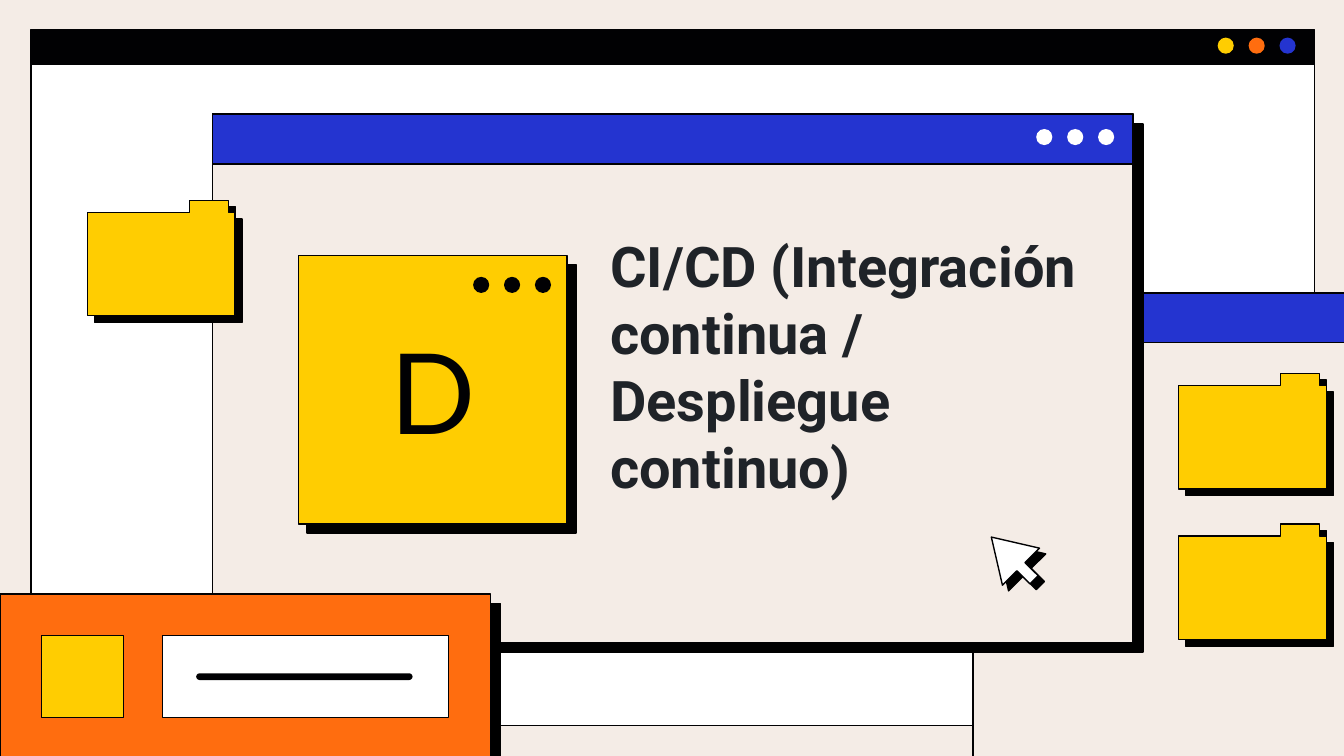
from lxml.etree import SubElement
from pptx import Presentation
from pptx.dml.color import RGBColor
from pptx.enum.shapes import MSO_SHAPE
from pptx.enum.text import MSO_ANCHOR, MSO_AUTO_SIZE, PP_ALIGN
from pptx.oxml.ns import qn
from pptx.util import Inches, Pt

TITLE = "CI/CD (Integración continua / Despliegue continuo)"
LETTER = "D"
BLACK, WHITE, CREAM = "010103", "FFFFFF", "F4ECE6"
BLUE, ORANGE, YELLOW = "2434D0", "FF6D0F", "FFCD01"
WINDOW_SHADOW, TILE_SHADOW, FOLDER_SHADOW, CURSOR_SHADOW = (7.5, 44), (6.8, 46), (5.2, 43), (4.5, 43)

PAGE_WIDTH, PAGE_HEIGHT = 10, 10 * 9 / 16
BROWSER = [((0.23, 0.48, 9.55, 4.92), WHITE), ((0.23, 0.22, 9.55, 0.26), BLACK)]
WINDOWS = [(7.24, 2.18, 5.8, 3.65), (1.58, 0.85, 6.85, 3.93)]
BAR_HEIGHT = 0.37
TITLE_BOX = (4.44, 2.12, 3.98, 1.7)
TILE = (2.22, 1.9, 2, 2)
CARD = (0, 4.42, 3.65, 1.23)
CARD_PARTS = [((0.31, 4.73, 0.61, 0.61), YELLOW), ((1.21, 4.73, 2.13, 0.61), WHITE)]
CARD_LINE = (1.46, 5.01, 1.61, 0.05)
CURSOR = (7.34, 3.93, 0.39, 0.45)
FOLDERS = [(8.77, 2.78), (0.65, 1.49), (8.77, 3.9)]
FOLDER_OUTLINE = [(0.76, 0), (0.76, 0.09), (0, 0.09), (0, 0.86), (1.1, 0.86), (1.1, 0.09), (1.05, 0.09), (1.05, 0)]
DOT, DOT_STEP = 0.12, 0.23


def color(hex_code):
    return RGBColor.from_string(hex_code)


def inches(values):
    return [Inches(value) for value in values]


def style(shape, fill, outlined=True, shadow=None):
    shape.fill.solid()
    shape.fill.fore_color.rgb = color(fill)
    if outlined:
        shape.line.color.rgb = color(BLACK)
        shape.line.width = Pt(0.75)
    else:
        shape.line.fill.background()
    shape.shadow.inherit = False
    if shadow:
        distance, angle = shadow
        effects = shape.element.spPr.find(qn("a:effectLst"))
        outer = SubElement(effects, qn("a:outerShdw"), blurRad="0", dist=str(Pt(distance)),
                           dir=str(angle * 60000), algn="bl", rotWithShape="0")
        SubElement(outer, qn("a:srgbClr"), val="000000")
    return shape


def add_box(page, area, fill, kind=MSO_SHAPE.RECTANGLE, **look):
    return style(page.shapes.add_shape(kind, *inches(area)), fill, **look)


def add_dots(page, left, top, fills):
    for index, fill in enumerate(fills):
        area = (left + index * DOT_STEP, top, DOT, DOT)
        add_box(page, area, fill, MSO_SHAPE.OVAL, outlined=False)


def add_window(page, area):
    left, top, width, _ = area
    add_box(page, area, CREAM, shadow=WINDOW_SHADOW)
    add_box(page, (left, top, width, BAR_HEIGHT), BLUE)


def add_folder(page, left, top):
    points = [inches((left + x, top + y)) for x, y in FOLDER_OUTLINE]
    builder = page.shapes.build_freeform(*points[0], scale=1.0)
    builder.add_line_segments(points[1:], close=True)
    style(builder.convert_to_shape(), YELLOW, shadow=FOLDER_SHADOW)


def write(shape, text, size, font, fill, anchor, align, bold=False):
    frame = shape.text_frame
    frame.word_wrap = True
    frame.auto_size = MSO_AUTO_SIZE.NONE
    frame.vertical_anchor = anchor
    frame.margin_left = frame.margin_right = frame.margin_top = frame.margin_bottom = Inches(0.1)
    para = frame.paragraphs[0]
    para.alignment = align
    span = para.add_run()
    span.text = text
    span.font.size, span.font.name, span.font.bold = Pt(size), font, bold
    span.font.color.rgb = color(fill)


def main():
    """Build the CI/CD section slide with its layered windows."""
    deck = Presentation()
    deck.slide_width, deck.slide_height = inches((PAGE_WIDTH, PAGE_HEIGHT))
    page = deck.slides.add_slide(deck.slide_layouts[5])
    page.background.fill.solid()
    page.background.fill.fore_color.rgb = color(CREAM)

    for area, fill in BROWSER:
        add_box(page, area, fill)
    add_dots(page, 9.06, 0.28, [YELLOW, ORANGE, BLUE])
    for area in WINDOWS:
        add_window(page, area)
    add_dots(page, 7.71, 0.96, [WHITE] * 3)

    title = page.shapes.title
    title.left, title.top, title.width, title.height = inches(TITLE_BOX)
    write(title, TITLE, 30, "Roboto", "1F2328", MSO_ANCHOR.BOTTOM, PP_ALIGN.LEFT, bold=True)
    page.shapes.element.append(title.element)

    tile = add_box(page, TILE, YELLOW, shadow=TILE_SHADOW)
    write(tile, LETTER, 60, "Lato", BLACK, MSO_ANCHOR.MIDDLE, PP_ALIGN.CENTER)
    add_dots(page, 3.52, 2.06, [BLACK] * 3)

    add_box(page, CARD, ORANGE, shadow=WINDOW_SHADOW)
    for area, fill in CARD_PARTS:
        add_box(page, area, fill)
    line = add_box(page, CARD_LINE, BLACK, MSO_SHAPE.ROUNDED_RECTANGLE, outlined=False)
    line.adjustments[0] = 0.5

    cursor = add_box(page, CURSOR, WHITE, MSO_SHAPE.UP_ARROW, shadow=CURSOR_SHADOW)
    cursor.adjustments[0], cursor.adjustments[1] = 0.22, 0.8
    cursor.rotation = 315
    for left, top in FOLDERS:
        add_folder(page, left, top)

    deck.save("out.pptx")


if __name__ == "__main__":
    main()
